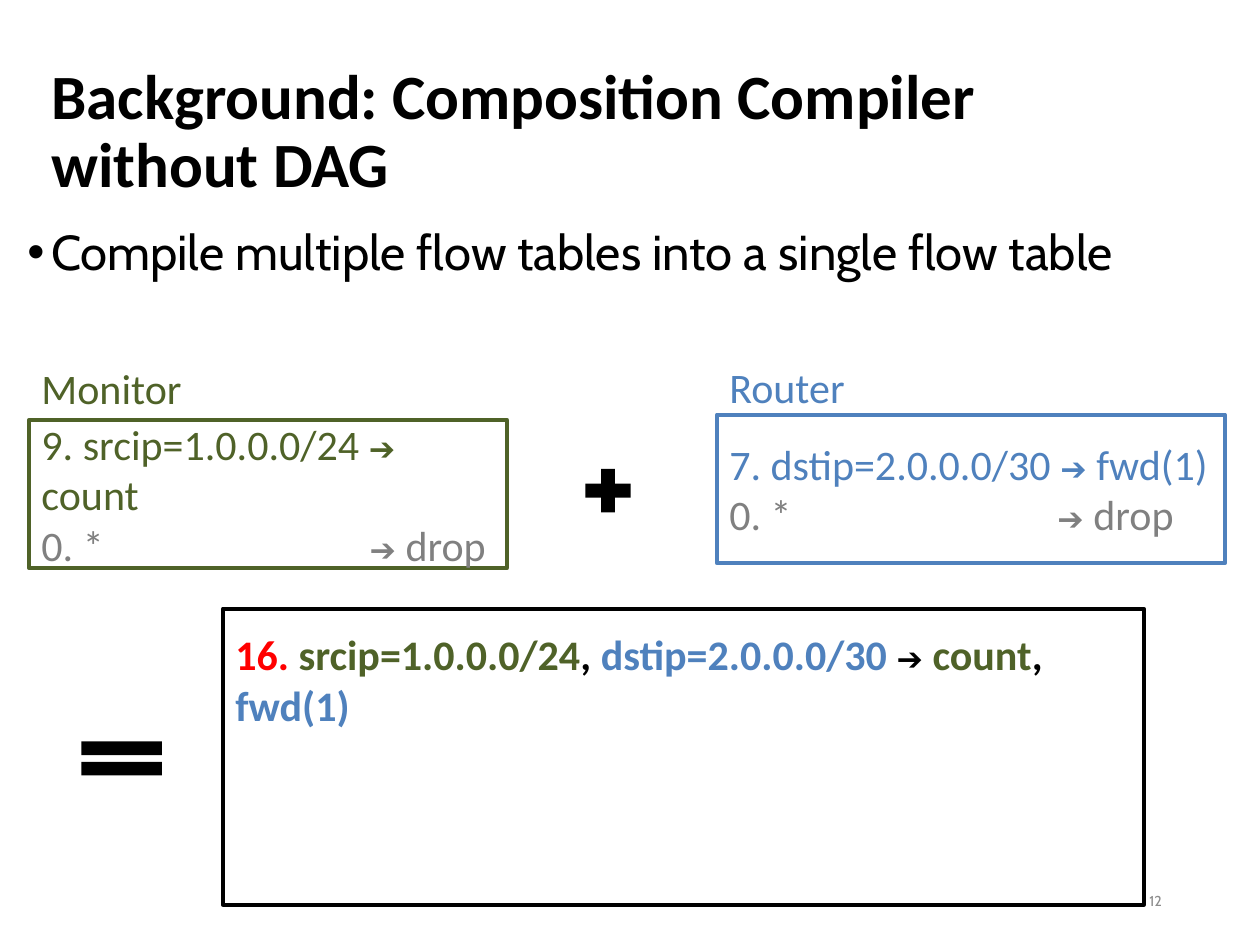
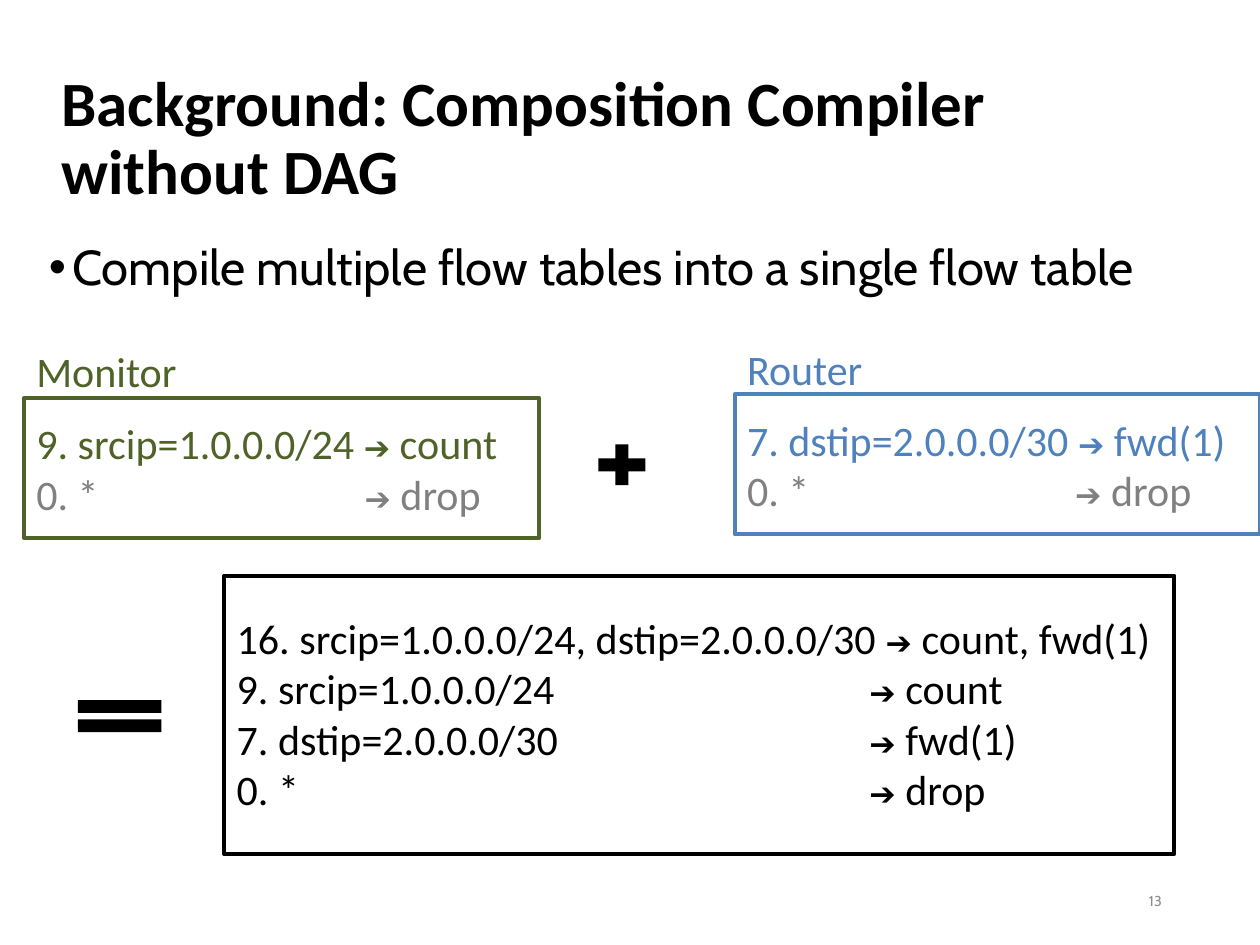
"""Builds two slides on compiling several flow tables into one."""
import dataclasses

import pptx
import pptx.dml.color
import pptx.enum.shapes
import pptx.enum.text
import pptx.oxml
import pptx.oxml.ns
import pptx.util

Pt = pptx.util.Pt
Shape = pptx.enum.shapes.MSO_SHAPE
Anchor = pptx.enum.text.MSO_ANCHOR
Align = pptx.enum.text.PP_ALIGN
ARROW = "➔"


@dataclasses.dataclass(frozen=True)
class Theme:
    black: str = "000000"
    white: str = "FFFFFF"
    green: str = "4F6228"
    blue: str = "4F81BD"
    red: str = "FF0000"
    gray: str = "808080"
    number_gray: str = "8C8C8C"
    heading_font: str = "Calibri"
    body_font: str = "Cabin"
    arrow_font: str = "Arial"
    title_size: float = 36
    bullet_size: float = 28
    rule_size: float = 24
    arrow_size: float = 18
    number_size: float = 8.2
    outline: float = 2.25


theme = Theme()


def add_box(slide, kind, box, fill=None, outline=None):
    """Add a preset shape, or a text box when kind is None."""
    lengths = [Pt(length) for length in box]
    if kind is None:
        return slide.shapes.add_textbox(*lengths)
    shape = slide.shapes.add_shape(kind, *lengths)
    shape.shadow.inherit = False
    shape.fill.solid()
    shape.fill.fore_color.rgb = pptx.dml.color.RGBColor.from_string(fill)
    if outline:
        shape.line.color.rgb = pptx.dml.color.RGBColor.from_string(outline)
        shape.line.width = Pt(theme.outline)
    else:
        shape.line.fill.background()
    return shape


def write_text(shape, lines, size=theme.rule_size, font=theme.heading_font, bold=False,
               anchor=Anchor.TOP, align=Align.LEFT, spacing=None, before=None,
               bullet_indent=None, tab=None):
    """Fill a shape with lines, each a list of (text, colour) parts."""
    frame = shape.text_frame
    frame.word_wrap = True
    frame.vertical_anchor = anchor
    for index, parts in enumerate(lines):
        paragraph = frame.add_paragraph() if index else frame.paragraphs[0]
        paragraph.alignment = align
        paragraph.line_spacing = spacing
        if before:
            paragraph.space_before = Pt(before)
        properties = paragraph._p.get_or_add_pPr()
        namespace = pptx.oxml.ns.nsdecls("a")
        if bullet_indent:
            properties.set("marL", str(Pt(bullet_indent)))
            properties.set("indent", str(-Pt(bullet_indent)))
            properties.append(pptx.oxml.parse_xml(f'<a:buFont {namespace} typeface="Arial"/>'))
            properties.append(pptx.oxml.parse_xml(f'<a:buChar {namespace} char="•"/>'))
        if tab:
            properties.append(pptx.oxml.parse_xml(
                f'<a:tabLst {namespace}><a:tab pos="{Pt(tab)}" algn="l"/></a:tabLst>'))
        for text, color in parts:
            for piece in filter(None, text.partition(ARROW)):
                is_arrow = piece == ARROW
                run = paragraph.add_run()
                run.text = piece
                run.font.name = theme.arrow_font if is_arrow else font
                run.font.size = Pt(theme.arrow_size if is_arrow else size)
                run.font.bold = bold and not is_arrow
                run.font.color.rgb = pptx.dml.color.RGBColor.from_string(color)


TITLE = "Background: Composition Compiler without DAG"
BULLET = "Compile multiple flow tables into a single flow table"
SOURCE_TAB = 187.5
RESULT_TAB = 361.5
SOURCE_TABLES = [
    ("Monitor", theme.green, "9. srcip=1.0.0.0/24 ➔ count"),
    ("Router", theme.blue, "7. dstip=2.0.0.0/30 ➔ fwd(1)"),
]
first_rule = [[
    ("16. ", theme.red), ("srcip=1.0.0.0/24", theme.green), (", ", theme.black),
    ("dstip=2.0.0.0/30 ", theme.blue), ("➔ ", theme.black), ("count", theme.green),
    (", ", theme.black), ("fwd(1)", theme.blue),
]]
all_rules = [[(rule, theme.black)] for rule in (
    "16. srcip=1.0.0.0/24, dstip=2.0.0.0/30 ➔ count, fwd(1)",
    "9. srcip=1.0.0.0/24\t➔ count",
    "7. dstip=2.0.0.0/30\t➔ fwd(1)",
    "0. *\t➔ drop",
)]

slide_plans = [
    dict(number="12", title=(22.3, 23.8), bullet=(8.6, 126.7),
         plus=(329.8, 263.5, 35.3, 33.8), equals=(38.2, 416.9, 62.6, 33.1),
         tables=[(16.6, 239.8, 272.9, 85), (409.7, 236.9, 290.2, 85)], label_tops=[203.8, 203],
         result=(127.4, 347.8, 526.3, 169.2), result_inset=11.4, rules=first_rule, bold=True),
    dict(number="13", title=(28.1, 28.1), bullet=(20.9, 135.4),
         plus=(337, 249.8, 36.7, 31.7), equals=(36, 393.8, 64.8, 31),
         tables=[(13.7, 227.5, 294.5, 80), (419.8, 225.4, 300.2, 80)], label_tops=[193.7, 193],
         result=(128.2, 329, 542.9, 159.1), result_inset=21, rules=all_rules, bold=False),
]

presentation = pptx.Presentation()
presentation.slide_width = Pt(720)
presentation.slide_height = Pt(540)

for plan in slide_plans:
    slide = presentation.slides.add_slide(presentation.slide_layouts[6])

    title = add_box(slide, None, (*plan["title"], 620.6, 104.4))
    write_text(title, [[(TITLE, theme.black)]], size=theme.title_size, bold=True,
               anchor=Anchor.MIDDLE, spacing=0.9)
    bullet = add_box(slide, None, (*plan["bullet"], 663, 71))
    write_text(bullet, [[(BULLET, theme.black)]], size=theme.bullet_size, font=theme.body_font,
               spacing=0.9, before=7.5, bullet_indent=13.5)
    number = add_box(slide, None, (509, 500.4, 162, 28.8))
    write_text(number, [[(plan["number"], theme.number_gray)]], size=theme.number_size,
               font=theme.body_font, anchor=Anchor.MIDDLE, align=Align.RIGHT)

    add_box(slide, Shape.MATH_PLUS, plan["plus"], fill=theme.black)
    for (name, color, rule), box, label_top in zip(SOURCE_TABLES, plan["tables"], plan["label_tops"]):
        table = add_box(slide, Shape.RECTANGLE, box, fill=theme.white, outline=color)
        write_text(table, [[(rule, color)], [("0. *\t➔ drop", theme.gray)]],
                   anchor=Anchor.MIDDLE, tab=SOURCE_TAB)
        label = add_box(slide, None, (box[0], label_top, 142, 37))
        write_text(label, [[(name, color)]])

    result = add_box(slide, Shape.RECTANGLE, plan["result"], fill=theme.white, outline=theme.black)
    result.text_frame.margin_top = Pt(plan["result_inset"])
    write_text(result, plan["rules"], bold=plan["bold"], tab=RESULT_TAB)
    add_box(slide, Shape.MATH_EQUAL, plan["equals"], fill=theme.black)

presentation.save("out.pptx")
